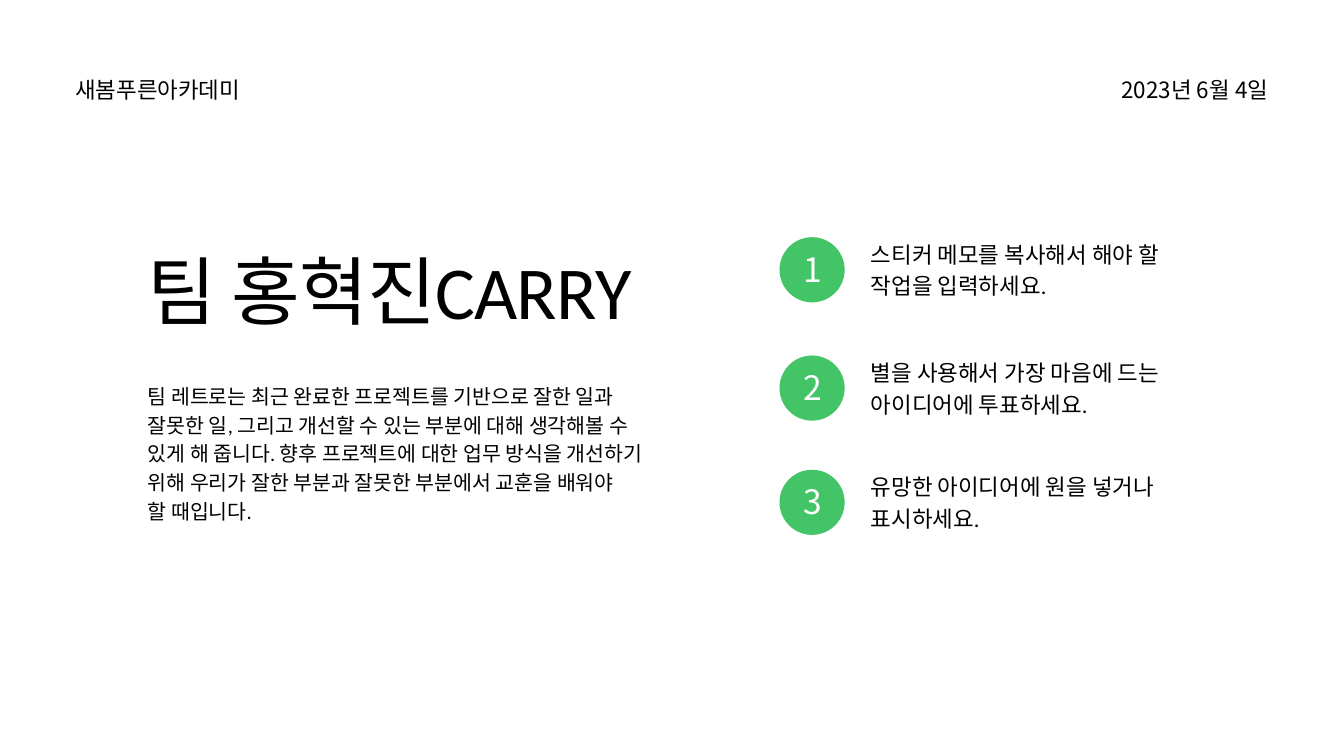
from pptx import Presentation
from pptx.dml.color import RGBColor
from pptx.enum.shapes import MSO_SHAPE as Shape
from pptx.enum.text import MSO_AUTO_SIZE as Fit, PP_ALIGN as Align
from pptx.util import Inches, Pt

BLACK = RGBColor(0x00, 0x00, 0x00)
WHITE = RGBColor(0xFF, 0xFF, 0xFF)
GREEN = RGBColor(0x43, 0xC4, 0x66)
SANS, NOTO = "Calibri", "Noto Sans CJK KR"
COLS, ROWS = 20, 11.25
CELL = Inches(1)

TITLE = "팀 홍혁진CARRY"
BODY = [
    "팀 레트로는 최근 완료한 프로젝트를 기반으로 잘한 일과",
    "잘못한 일, 그리고 개선할 수 있는 부분에 대해 생각해볼 수 있게 해 줍니다. "
    "향후 프로젝트에 대한 업무 방식을 개선하기 위해 우리가 잘한 부분과 "
    "잘못한 부분에서 교훈을 배워야",
    "할 때입니다.",
]
STEPS = [
    (3.52, 4.3, ["스티커 메모를 복사해서 해야 할", "작업을 입력하세요."]),
    (5.28, 5.12, ["별을 사용해서 가장 마음에 드는", "아이디어에 투표하세요."]),
    (6.98, 5.12, ["유망한 아이디어에 원을 넣거나", "표시하세요."]),
]


def grid(*cells):
    """Turn columns and rows into slide lengths."""
    return [int(c * CELL) for c in cells]


def write(shapes, box, lines, size, lead, name=SANS, color=BLACK,
          align=Align.LEFT, track=0):
    """Add a text box with one paragraph for each line."""
    frame = shapes.add_textbox(*grid(*box)).text_frame
    look = dict(word_wrap=True, auto_size=Fit.SHAPE_TO_FIT_TEXT,
                margin_left=0, margin_top=0, margin_right=0, margin_bottom=0)
    for key, val in look.items():
        setattr(frame, key, val)
    for i, line in enumerate(lines):
        para = frame.add_paragraph() if i else frame.paragraphs[0]
        para.alignment, para.line_spacing = align, Pt(lead)
        run = para.add_run()
        run.text = line
        for key, val in dict(name=name, size=Pt(size)).items():
            setattr(run.font, key, val)
        run.font.color.rgb = color
        if track:
            run._r.get_or_add_rPr().set("spc", str(track))


def header(shapes, box):
    """Place the academy at the left and the date at the right."""
    left, top, width, height = box
    part = 4.3
    write(shapes, (left, top, part, height), ["새봄푸른아카데미"], 24, 33.6)
    write(shapes, (left + width - part, top, part, height),
          ["2023년 6월 4일"], 24, 33.6, NOTO, align=Align.RIGHT)


def intro(shapes, box):
    """Place the title above its body text."""
    left, top, width, height = box
    write(shapes, (left, top, width, 1.35), [TITLE], 80, 96, track=-100)
    write(shapes, (left, top + 2, 7.49, height - 2), BODY, 22, 30.8)


def badge(shapes, box, num):
    """Place a number on a green disc."""
    left, top, width, height = box
    group = shapes.add_group_shape().shapes
    disc = group.add_shape(Shape.OVAL, *grid(*box))
    disc.shadow.inherit = False
    disc.fill.solid()
    disc.fill.fore_color.rgb = GREEN
    disc.line.fill.background()
    write(group, (left + 0.26, top + 0.22, width - 0.5, height - 0.41),
          [str(num)], 36, 39.6, NOTO, WHITE, Align.CENTER)


def step(shapes, box, num, lines):
    """Place a badge beside its two lines."""
    left, top, width, height = box
    badge(shapes, (left, top + 0.01, 0.97, 0.97), num)
    write(shapes, (left + 1.36, top, width - 1.36, height), lines, 24, 33.6)


def main():
    """Build and save the slide."""
    deck = Presentation()
    deck.slide_width, deck.slide_height = grid(COLS, ROWS)
    shapes = deck.slides.add_slide(deck.slide_layouts[6]).shapes
    header(shapes, (1.12, 1.06, 17.75, 0.45))
    intro(shapes, (2.2, 3.65, 7.8, 4.13))
    for num, (top, width, lines) in enumerate(STEPS, 1):
        step(shapes, (11.6, top, width + 1.36, 0.91), num, lines)
    deck.save("out.pptx")


if __name__ == "__main__":
    main()
